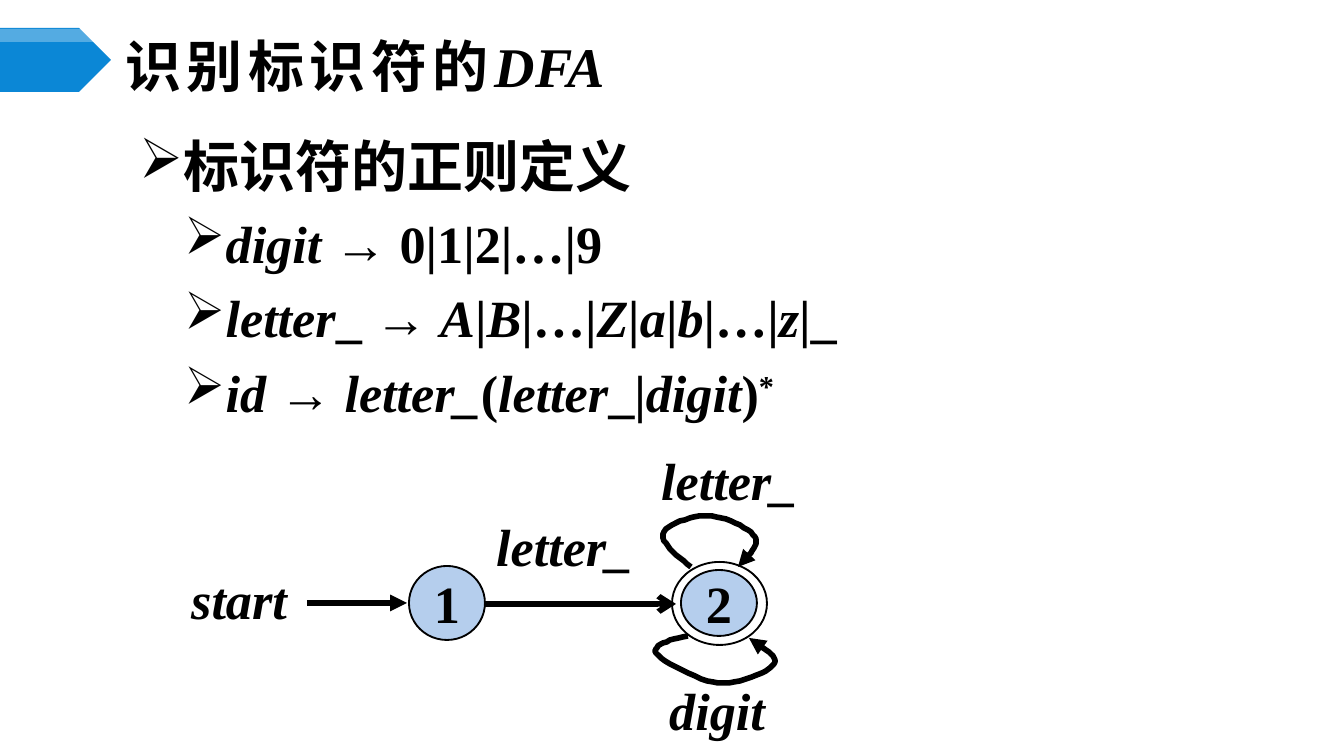
import pptx
import pptx.dml.color
import pptx.enum.shapes
import pptx.enum.text
import pptx.oxml.ns
import pptx.util
from lxml import etree

SCALE = 914400 / 134.4
SERIF, HAN = "Times New Roman", "Noto Sans CJK SC"
BLACK, BLUE, PALE, WHITE = "000000", "0B87D6", "B5CEED", "FFFFFF"
KIND = pptx.enum.shapes.MSO_SHAPE
MIDDLE = pptx.enum.text.MSO_ANCHOR.MIDDLE
CENTER = pptx.enum.text.PP_ALIGN.CENTER


def emu(px):
    return pptx.util.Emu(round(px * SCALE))


def color(text):
    return pptx.dml.color.RGBColor.from_string(text)


def child(parent, tag, **attrs):
    return etree.SubElement(parent, pptx.oxml.ns.qn(tag), **attrs)


class Deck:
    """Holds the style and the current slide, and draws each kind of element."""

    def __init__(self):
        self.show = pptx.Presentation()
        self.show.slide_width, self.show.slide_height = emu(1344), emu(756)
        self.slide = self.show.slides.add_slide(self.show.slide_layouts[6])
        self.shapes = self.slide.shapes

    def run(self, para, text, size=28, italic=False, font=SERIF, gap=0, base=0):
        run = para.add_run()
        run.text = text
        style = run.font
        style.size, style.name = pptx.util.Pt(size), font
        style.bold, style.italic = True, italic
        style.color.rgb = color(BLACK)
        props = run._r.get_or_add_rPr()
        child(props, "a:ea", typeface=HAN)
        if gap:
            props.set("spc", str(gap * 100))
        if base:
            props.set("baseline", str(base * 1000))

    def box(self, x, y, w, h, wrap=True):
        frame = self.shapes.add_textbox(emu(x), emu(y), emu(w), emu(h)).text_frame
        frame.word_wrap = wrap
        return frame

    def label(self, text, x, y, w):
        self.run(self.box(x, y, w, 77, False).paragraphs[0], text, italic=True)

    def bullet(self, para, left, before=0):
        props = para._p.get_or_add_pPr()
        props.set("marL", str(emu(left)))
        props.set("indent", str(emu(-40)))
        child(props, "a:buChar", char="➢")
        para.space_before = pptx.util.Pt(before)

    def shape(self, kind, x, y, w, h, fill=None, line=None, alpha=None):
        shape = self.shapes.add_shape(kind, emu(x), emu(y), emu(w), emu(h))
        shape.shadow.inherit = False
        if fill:
            shape.fill.solid()
            shape.fill.fore_color.rgb = color(fill)
        else:
            shape.fill.background()
        if alpha:
            tone = shape._element.spPr.find(".//" + pptx.oxml.ns.qn("a:srgbClr"))
            child(tone, "a:alpha", val=str(alpha * 1000))
        if line:
            shape.line.color.rgb = color(line)
            shape.line.width = pptx.util.Pt(1)
        else:
            shape.line.fill.background()
        return shape

    def state(self, name, x, y, w, h):
        frame = self.shape(KIND.OVAL, x, y, w, h, PALE, BLACK).text_frame
        frame.word_wrap, frame.vertical_anchor = False, MIDDLE
        frame.paragraphs[0].alignment = CENTER
        self.run(frame.paragraphs[0], name)

    def stroke(self, shape, head):
        shape.line.color.rgb = color(BLACK)
        shape.line.width = pptx.util.Pt(3)
        child(shape.line._get_or_add_ln(), "a:tailEnd", type=head)

    def arrow(self, x, y, end, head):
        kind = pptx.enum.shapes.MSO_CONNECTOR.STRAIGHT
        line = self.shapes.add_connector(kind, emu(x), emu(y), emu(end), emu(y))
        self.stroke(line, head)
        child(line._element.spPr, "a:effectLst")

    def loop(self, start, *curves, steps=12):
        points, last = [start], start
        for curve in curves:
            knots = (last, *curve)
            for step in range(1, steps + 1):
                t = step / steps
                parts = ((1 - t) ** 3, 3 * t * (1 - t) ** 2, 3 * t * t * (1 - t), t ** 3)
                points.append(tuple(sum(p * k[i] for p, k in zip(parts, knots)) for i in (0, 1)))
            last = curve[-1]
        form = self.shapes.build_freeform(*start, scale=SCALE)
        form.add_line_segments(points[1:], close=False)
        shape = form.convert_to_shape()
        shape.shadow.inherit = False
        shape.fill.background()
        self.stroke(shape, "triangle")


def main():
    deck = Deck()
    frame = deck.box(126, 125, 871, 474)
    para = frame.paragraphs[0]
    deck.bullet(para, 40)
    deck.run(para, "标识符的正则定义", 30)
    rules = (
        ("digit ", "→ 0|1|2|…|9"),
        ("letter", "_ → ", "A", "|", "B", "|…|", "Z|a", "|", "b", "|…|", "z", "|_"),
        ("id", " → ", "letter_", "(", "letter", "_|", "digit", ")"),
    )
    for rule in rules:
        para = frame.add_paragraph()
        deck.bullet(para, 85, 6.5)
        for i, text in enumerate(rule):
            deck.run(para, text, italic=i % 2 == 0)
    deck.run(para, "*", base=30)

    title = deck.box(112, 39, 1165, 52)
    title.vertical_anchor = MIDDLE
    deck.run(title.paragraphs[0], "识别标识符的", 30, font=HAN, gap=3)
    deck.run(title.paragraphs[0], "DFA", 30, italic=True)
    deck.shape(KIND.PENTAGON, 0, 28, 111, 64, BLUE)
    deck.shape(KIND.PENTAGON, 0, 29, 111, 13, WHITE, alpha=30)

    deck.arrow(485, 604, 676, "arrow")
    deck.label("letter_", 483, 508, 164)
    deck.label("letter_", 648, 442, 188)
    deck.label("start", 178, 561, 124)
    deck.arrow(307, 603, 407, "triangle")
    deck.loop(
        (691, 567),
        ((676, 555), (660, 542), (663, 534)),
        ((665, 525), (692, 515), (708, 516)),
        ((723, 516), (750, 528), (755, 537)),
        ((760, 545), (749, 556), (738, 567)),
    )
    deck.loop(
        (688, 636),
        ((669, 640), (652, 645), (656, 653)),
        ((661, 661), (699, 681), (718, 683)),
        ((738, 685), (769, 672), (774, 664)),
        ((778, 657), (764, 648), (749, 638)),
    )
    deck.label("digit", 656, 672, 327)
    deck.state("2", 681, 570, 76, 66)
    deck.shape(KIND.OVAL, 672, 562, 95, 83, line=BLACK)
    deck.state("1", 409, 566, 76, 74)
    deck.show.save("out.pptx")


if __name__ == "__main__":
    main()
